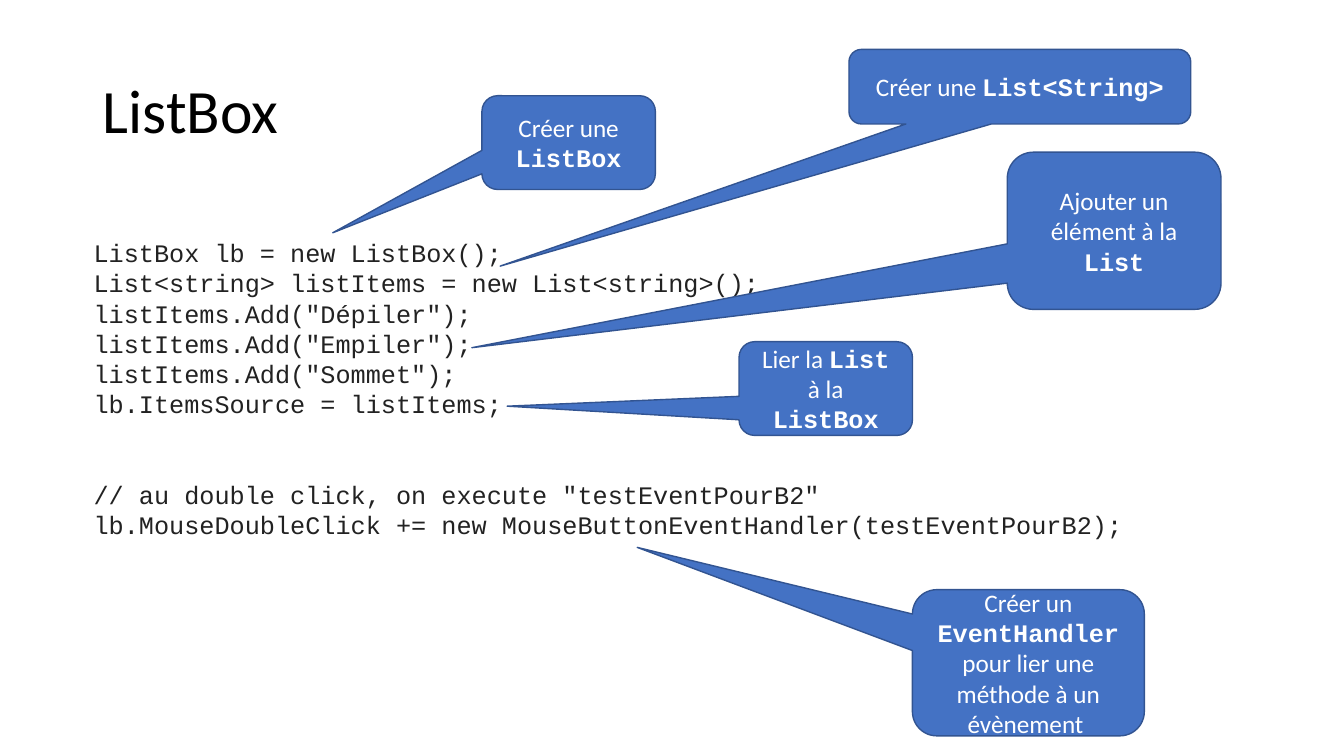
import pptx
import pptx.util
import pptx.dml.color
import pptx.enum.shapes
import pptx.enum.text

Inches, Pt = pptx.util.Inches, pptx.util.Pt
ALIGN = pptx.enum.text.PP_ALIGN
BODY, CODE = "Calibri", "Courier New"
BLUE, BLUE_EDGE, WHITE, INK, BLACK = "4472C4", "325491", "FFFFFF", "222222", "000000"


def color(target, value):
    target.rgb = pptx.dml.color.RGBColor.from_string(value)


def fill(shape, value):
    shape.fill.solid()
    color(shape.fill.fore_color, value)


def write(paragraph, text, size=18, font=BODY, ink=BLACK, bold=False):
    run = paragraph.add_run()
    run.text = text
    run.font.size, run.font.name, run.font.bold = Pt(size), font, bold
    color(run.font.color, ink)


def paragraphs(frame, count):
    return [frame.paragraphs[0]] + [frame.add_paragraph() for _ in range(count - 1)]


def text_area(slide, box, wrap):
    area = slide.shapes.add_textbox(*map(Inches, box))
    area.text_frame.word_wrap = wrap
    area.text_frame.vertical_anchor = pptx.enum.text.MSO_ANCHOR.MIDDLE
    return area


def add_title(slide, box, text):
    heading = text_area(slide, box, True).text_frame.paragraphs[0]
    heading.line_spacing = 0.9
    write(heading, text, size=44)


def add_code(slide, box, blocks):
    listing = text_area(slide, box, False)
    fill(listing, WHITE)
    lines = [(line, block > 0 and row == 0)
             for block, rows in enumerate(blocks) for row, line in enumerate(rows)]
    for paragraph, (line, opens_block) in zip(paragraphs(listing.text_frame, len(lines)), lines):
        if opens_block:
            paragraph.space_before = Pt(43)  # a gap of two lines
        write(paragraph, line, font=CODE, ink=INK)


def add_callout(slide, box, tip, content):
    """Content holds paragraphs of pieces, alternating prose and code."""
    left, top, width, height = box
    kind = pptx.enum.shapes.MSO_SHAPE.ROUNDED_RECTANGULAR_CALLOUT
    bubble = slide.shapes.add_shape(kind, *map(Inches, box))
    # The tip is set relative to the centre of the bubble
    bubble.adjustments[0] = (tip[0] - left) / width - 0.5
    bubble.adjustments[1] = (tip[1] - top) / height - 0.5
    bubble.adjustments[2] = 1 / 6
    bubble.shadow.inherit = False
    fill(bubble, BLUE)
    color(bubble.line.color, BLUE_EDGE)
    bubble.line.width = Pt(1)
    frame = bubble.text_frame
    frame.word_wrap = True
    frame.vertical_anchor = pptx.enum.text.MSO_ANCHOR.MIDDLE
    for paragraph, pieces in zip(paragraphs(frame, len(content)), content):
        paragraph.alignment = ALIGN.CENTER
        for index, piece in enumerate(pieces):
            is_code = index % 2 == 1
            write(paragraph, piece, font=CODE if is_code else BODY, ink=WHITE, bold=is_code)


CODE_BLOCKS = [
    ["ListBox lb = new ListBox();",
     "List<string> listItems = new List<string>();",
     'listItems.Add("Dépiler");',
     'listItems.Add("Empiler");',
     'listItems.Add("Sommet");',
     "lb.ItemsSource = listItems;"],
    ['// au double click, on execute "testEventPourB2"',
     "lb.MouseDoubleClick += new MouseButtonEventHandler(testEventPourB2);"],
]

# Bubble box, tip, text
CALLOUTS = [
    ((9.99, 1.51, 2.12, 1.56), (4.68, 3.45), [["Ajouter un élément à la ", "List"]]),
    ((8.42, 0.49, 3.39, 0.74), (4.96, 2.64), [["Créer une ", "List<String>"]]),
    ((4.78, 0.95, 1.72, 0.93), (3.3, 2.31), [["Créer une ", "ListBox"]]),
    ((7.33, 3.39, 1.72, 0.93), (5.03, 4.03), [["Lier la ", "List", " à la ", "ListBox"]]),
    ((9.05, 5.85, 2.3, 1.45), (6.32, 5.43),
     [["Créer un ", "EventHandler"], ["pour lier une méthode à un évènement "]]),
]

deck = pptx.Presentation()
deck.slide_width, deck.slide_height = Inches(13.33), Inches(7.5)
slide = deck.slides.add_slide(deck.slide_layouts[6])

add_title(slide, (0.92, 0.4, 11.5, 1.45), "ListBox")
add_code(slide, (0.83, 2.29, 10.45, 3.13), CODE_BLOCKS)
for box, tip, content in CALLOUTS:
    add_callout(slide, box, tip, content)

deck.save("out.pptx")
